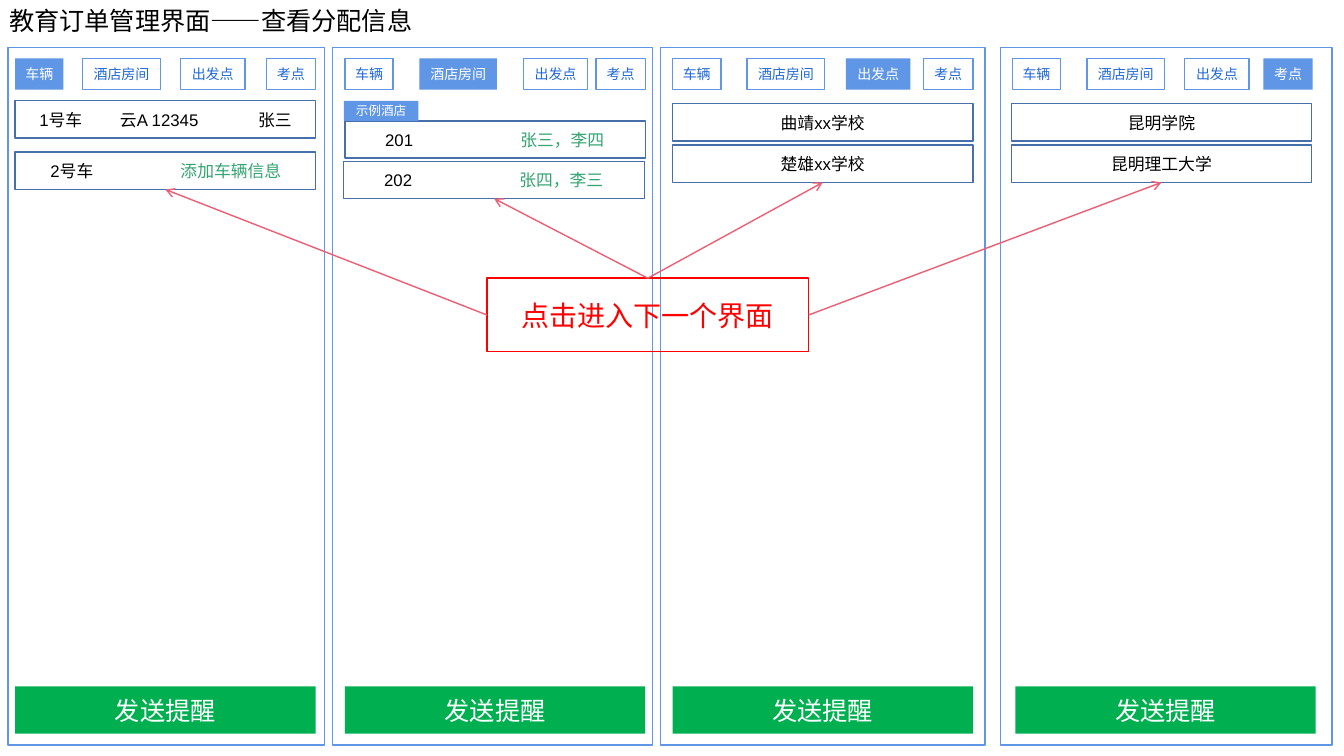
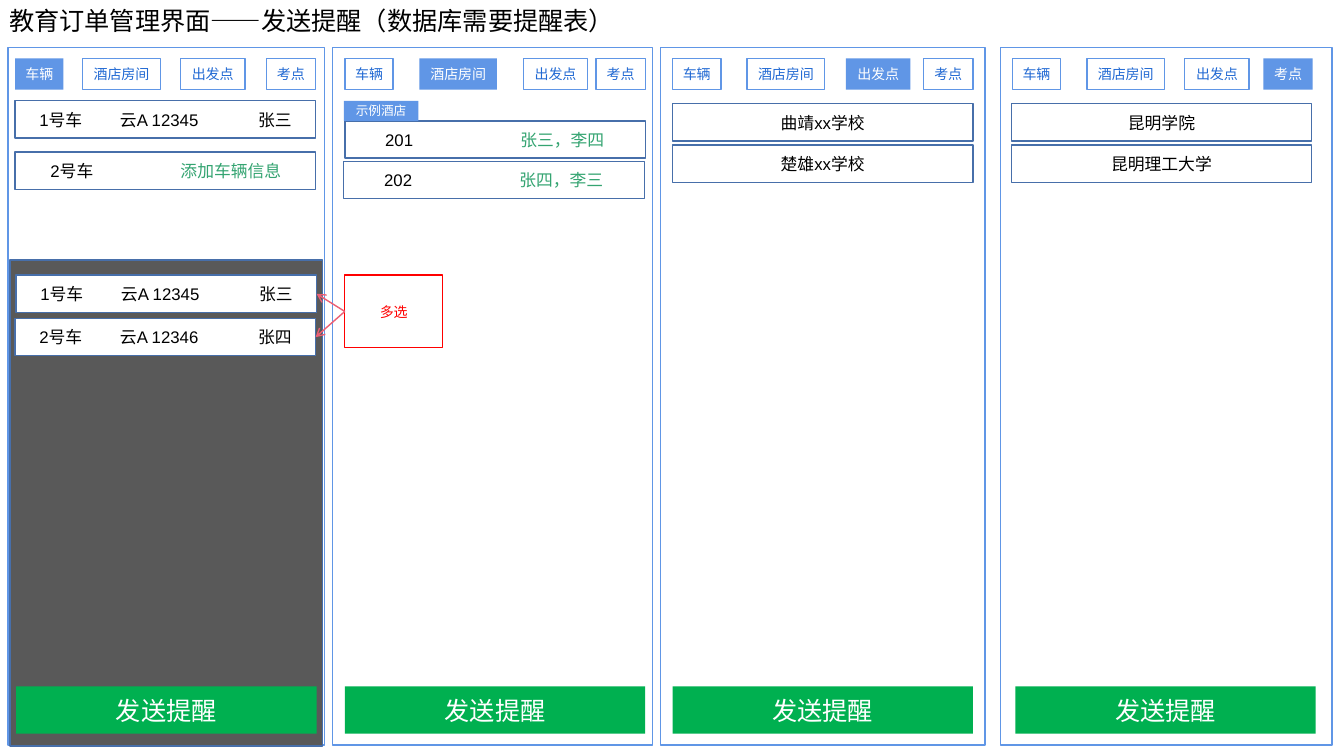
from lxml.etree import SubElement
from pptx import Presentation
from pptx.dml.color import RGBColor
from pptx.enum.shapes import MSO_CONNECTOR, MSO_SHAPE
from pptx.enum.text import MSO_ANCHOR, MSO_AUTO_SIZE, PP_ALIGN
from pptx.oxml.ns import qn
from pptx.util import Inches, Pt

HUES = {
    "blue": "6096E6", "navy": "476FAA", "link": "2169D3", "green": "00B050",
    "mint": "34A471", "red": "FF0000", "rose": "EC5F74", "gray": "595959",
    "white": "FFFFFF", "black": "000000",
}
FRAME = {"word_wrap": True, "vertical_anchor": MSO_ANCHOR.MIDDLE,
         "margin_left": 0, "margin_right": 0, "margin_top": 0, "margin_bottom": 0}
TITLE = {"word_wrap": False, "vertical_anchor": MSO_ANCHOR.TOP,
         "auto_size": MSO_AUTO_SIZE.NONE, "margin_left": Inches(0.09),
         "margin_right": 0, "margin_top": Inches(0.05)}

ROW_W, ROW_H = 2.98, 0.37
TABS = [("车辆", 0.48), ("酒店房间", 0.77), ("出发点", 0.64), ("考点", 0.49)]
# Cell starts, measured from the left edge of a row
CAR, ADD, ROOM = (0.24, 1.04, 2.41), (0.35, 1.64), (0.4, 1.74)

# Each row: left, top, cells, cell starts, hue of the last cell
PANELS = [
    {"left": 0.08, "wide": 3.14, "tabs": (0.15, 0.82, 1.79, 2.64), "send": 0.15,
     "rows": [(0.15, 1, ["1号车", "云A 12345", "张三"], CAR, "black"),
              (0.15, 1.51, ["2号车", "添加车辆信息"], ADD, "mint")]},
    {"left": 3.3, "wide": 3.17, "tabs": (3.42, 4.16, 5.19, 5.91), "send": 3.42,
     "rows": [(3.42, 1.2, ["201", "张三，李四"], ROOM, "mint"),
              (3.41, 1.6, ["202", "张四，李三"], ROOM, "mint")]},
    {"left": 6.55, "wide": 3.22, "tabs": (6.67, 7.41, 8.39, 9.16), "send": 6.67,
     "rows": [(6.67, 1.03, ["曲靖xx学校"], None, "black"),
              (6.67, 1.44, ["楚雄xx学校"], None, "black")]},
    {"left": 9.92, "wide": 3.29, "tabs": (10.04, 10.78, 11.75, 12.53), "send": 10.07,
     "rows": [(10.03, 1.03, ["昆明学院"], None, "black"),
              (10.03, 1.44, ["昆明理工大学"], None, "black")]},
]


def apply(thing, form):
    for key, val in form.items():
        setattr(thing, key, val)


def write(para, text, size, hue):
    run = para.add_run()
    run.text = text
    apply(run.font, {"name": "Arial", "size": Pt(size)})
    run.font.color.rgb = RGBColor.from_string(HUES[hue])


def add_box(slide, left, top, wide, high, fill=None, edge=None,
            text="", size=10, hue="white"):
    box = slide.shapes.add_shape(MSO_SHAPE.RECTANGLE, Inches(left), Inches(top),
                                 Inches(wide), Inches(high))
    box.shadow.inherit = False
    for part, name in ((box.fill, fill), (box.line.fill, edge)):
        if name:
            part.solid()
            part.fore_color.rgb = RGBColor.from_string(HUES[name])
        else:
            part.background()
    if edge:
        box.line.width = Pt(1)
    apply(box.text_frame, FRAME)
    para = box.text_frame.paragraphs[0]
    para.alignment = PP_ALIGN.CENTER
    if text:
        write(para, text, size, hue)
    return box


def add_row(slide, left, top, cells, starts, last, fill=None):
    if not starts:
        return add_box(slide, left, top, ROW_W, ROW_H, fill, "navy", cells[0], 12, last)
    row = add_box(slide, left, top, ROW_W, ROW_H, fill, "navy")
    row.text_frame.margin_left = Inches(starts[0])
    para = row.text_frame.paragraphs[0]
    para.alignment = PP_ALIGN.LEFT
    stops = SubElement(para._p.get_or_add_pPr(), qn("a:tabLst"))
    for start in starts[1:]:
        SubElement(stops, qn("a:tab"), pos=str(Inches(start - starts[0])), algn="l")
    write(para, cells[0], 12, "black")
    for cell in cells[1:]:
        write(para, "\t" + cell, 12, last if cell == cells[-1] else "black")
    return row


def add_send(slide, left):
    add_box(slide, left, 6.81, ROW_W, 0.47, "green", None, "发送提醒", 18)


def add_panel(slide, num, panel):
    """Draw one phone screen and return its last row."""
    add_box(slide, panel["left"], 0.47, panel["wide"], 6.92, "white", "blue")
    for pos, (left, (text, wide)) in enumerate(zip(panel["tabs"], TABS)):
        look = ("blue", None) if pos == num else ("white", "blue")
        add_box(slide, left, 0.58, wide, 0.31, *look, text, 10,
                "white" if pos == num else "link")
    return [add_row(slide, *row) for row in panel["rows"]][-1]


def add_arrow(slide, start, side, end, goal):
    line = slide.shapes.add_connector(MSO_CONNECTOR.STRAIGHT, 0, 0, 0, 0)
    line.begin_connect(start, side)
    line.end_connect(end, goal)
    line.line.width = Pt(1)
    line.line.color.rgb = RGBColor.from_string(HUES["rose"])
    SubElement(line.line._get_or_add_ln(), qn("a:tailEnd"), type="arrow")
    SubElement(line._element.spPr, qn("a:effectLst"))


def add_base(deck, text, wide):
    """Add a slide with its title and the four screens."""
    slide = deck.slides.add_slide(deck.slide_layouts[5])
    title = slide.shapes.title
    apply(title, {"left": 0, "top": 0, "width": Inches(wide), "height": Inches(0.4)})
    apply(title.text_frame, TITLE)
    para = title.text_frame.paragraphs[0]
    para.alignment = PP_ALIGN.LEFT
    write(para, text, 18, "black")
    ends = [add_panel(slide, num, panel) for num, panel in enumerate(PANELS)]
    add_box(slide, 3.41, 1, 0.74, 0.2, "blue", None, "示例酒店", 9)
    for panel in PANELS[1:]:
        add_send(slide, panel["send"])
    return slide, ends


def add_view(deck):
    slide, ends = add_base(deck, "教育订单管理界面——查看分配信息", 4.3)
    add_send(slide, PANELS[0]["send"])
    note = add_box(slide, 4.83, 2.76, 3.19, 0.73, None, "red",
                   "点击进入下一个界面", 20, "red")
    for end, side in zip(ends, (1, 0, 0, 3)):
        add_arrow(slide, note, side, end, 2)


def add_remind(deck):
    slide, _ = add_base(deck, "教育订单管理界面——发送提醒（数据库需要提醒表）", 6.3)
    # Dark sheet with the cars to pick
    add_box(slide, 0.1, 2.58, 3.1, 4.82, "gray", "navy")
    cars = [add_row(slide, left, top, cells, CAR, "black", "white")
            for left, top, cells in (
                (0.16, 2.73, ["1号车", "云A 12345", "张三"]),
                (0.15, 3.16, ["2号车", "云A 12346", "张四"]))]
    add_send(slide, 0.16)
    note = add_box(slide, 3.42, 2.73, 0.97, 0.72, None, "red", "多选", 10, "red")
    for car in cars:
        add_arrow(slide, note, 1, car, 3)


def main():
    deck = Presentation()
    apply(deck, {"slide_width": Inches(13.33), "slide_height": Inches(7.5)})
    add_view(deck)
    add_remind(deck)
    deck.save("out.pptx")


if __name__ == "__main__":
    main()
